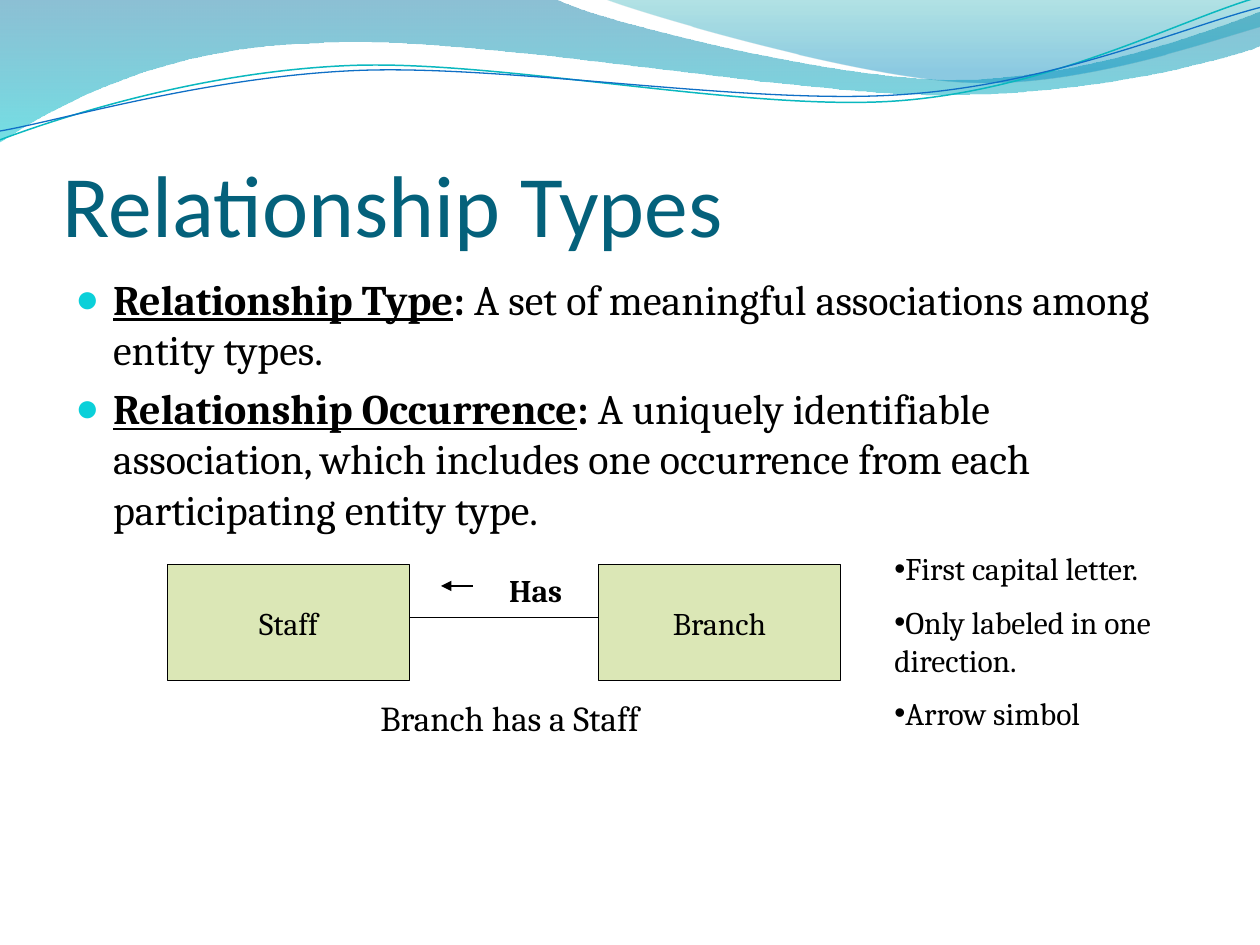
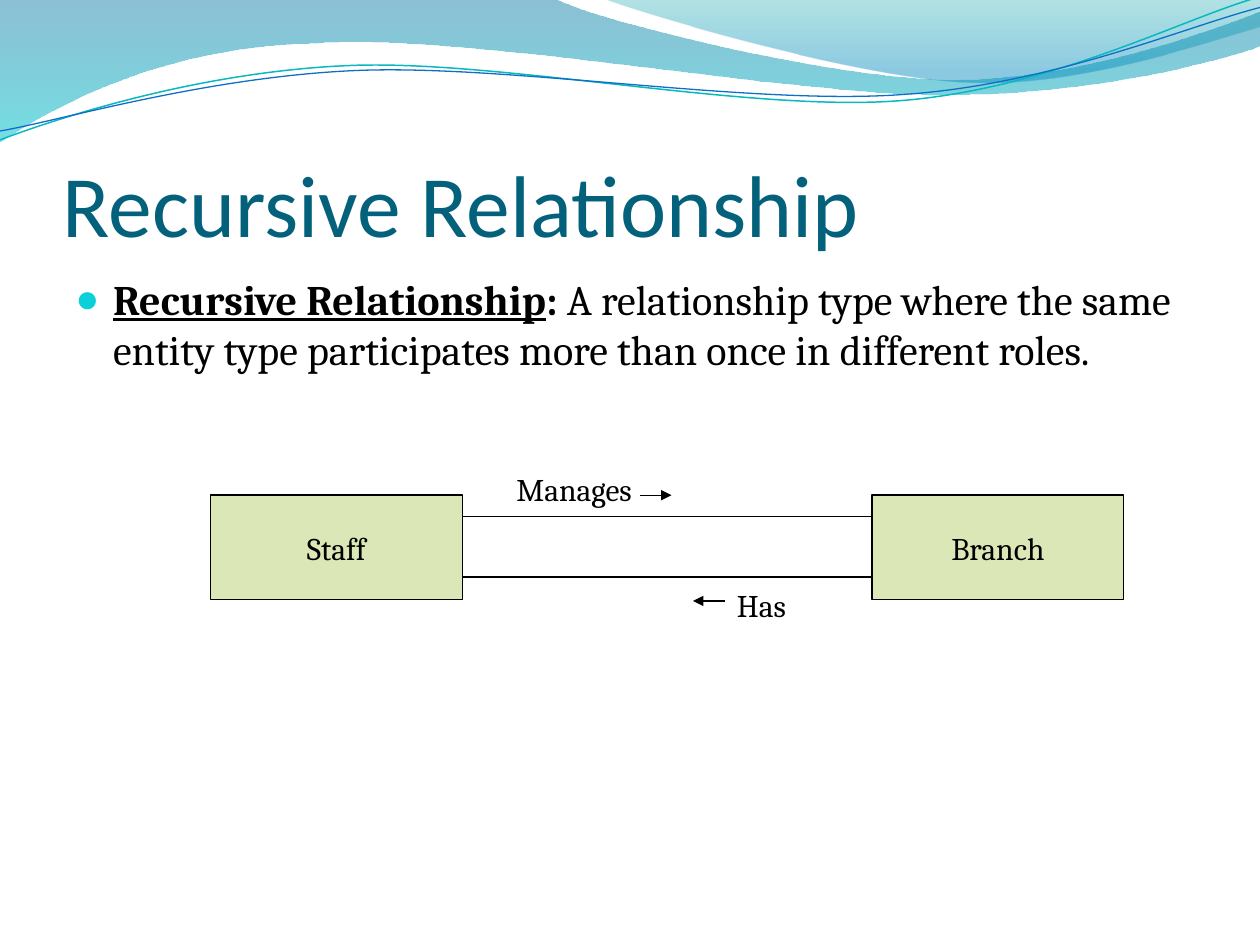
"""Build two slides on relationship types under a shared wave header."""
from math import cos, radians, sin
from pptx import Presentation
from pptx.dml.color import RGBColor
from pptx.enum.shapes import MSO_CONNECTOR as Link, MSO_SHAPE as Shape
from pptx.enum.text import MSO_ANCHOR as Anchor, MSO_AUTO_SIZE as Fit, PP_ALIGN as Align
from pptx.oxml.ns import qn
from pptx.util import Inches, Pt
from lxml import etree

rgb = RGBColor.from_string
BLACK, GREEN, TEAL, AQUA = "000000", "DBE7B6", "04617B", "0BD0D9"
HEAD, BODY = "Calibri", "Cambria"
TILT = 2.7

bands = [
    ([(0, 0), (4.4, -0.01),
      (4.76, 0.17, 6.64, 0.63, 7.58, 0.63), (8.53, 0.63, 9.58, 0.26, 10, 0.09),
      (10.01, 0.36),
      (9.83, 0.44, 8.7, 0.76, 7.46, 0.75), (6.22, 0.75, 3.82, 0.28, 2.57, 0.34),
      (1.29, 0.36, 0.46, 0.83, -0.01, 1.13), (0, 0)],
     [(0, "0074A1", 45), (1, "00C6CF", 55)]),
    ([(4.79, -0.01),
      (5.09, 0.11, 6.82, 0.62, 7.69, 0.65), (8.56, 0.69, 9.61, 0.32, 10, 0.21),
      (10, 0), (4.79, -0.01)],
     [(0, "00A1A9", 30), (0.8, "008BBF", 45)]),
]
curves = [
    ([(0, 1.11),
      (0.48, 0.93, 1.58, 0.57, 2.77, 0.52), (3.95, 0.47, 5.93, 0.89, 7.13, 0.8),
      (8.33, 0.71, 9.38, 0.15, 9.98, -0.02)], (4.99, 0.58), "0AB8BF", 0.85),
    ([(0, 1.04),
      (0.47, 0.96, 1.64, 0.61, 2.83, 0.56), (4.03, 0.51, 5.97, 0.84, 7.17, 0.75),
      (8.36, 0.67, 9.41, 0.21, 10, 0.06)], (5, 0.59), "0F6FC6", 0.75),
]

pages = [
    dict(
        title="Relationship Types",
        terms=[
            ("Relationship Type",
             " A set of meaningful associations among entity types."),
            ("Relationship Occurrence",
             " A uniquely identifiable association, which includes one "
             "occurrence from each participating entity type."),
        ],
        boxes=[("Staff", 1.33), ("Branch", 4.75)], top=4.48, size=(1.92, 0.92),
        lines=[(3.25, 4.75, 4.9)],
        arrows=[(3.75, 3.5, 4.65)],
        notes=[
            (3.75, 4.48, 0.81, 0.4, 18, True, False, ["Has"]),
            (2.92, 5.48, 3.08, 0.43, 20, False, False, ["Branch has a Staff"]),
            (7, 4.31, 2.67, 1.6, 18, False, True,
             ["First capital letter.", "Only labeled in one direction.",
              "Arrow simbol"]),
        ]),
    dict(
        title="Recursive Relationship",
        terms=[
            ("Recursive Relationship",
             " A relationship type where the same entity type participates "
             "more than once in different roles."),
        ],
        boxes=[("Staff", 1.67), ("Branch", 6.92)], top=3.93, size=(2, 0.83),
        lines=[(3.67, 6.92, 4.1), (3.67, 6.92, 4.58)],
        arrows=[(5.75, 5.5, 4.77), (5.08, 5.33, 3.93)],
        notes=[
            (4, 3.68, 1.58, 0.4, 18, False, False, ["Manages"]),
            (5.75, 4.6, 1.58, 0.4, 18, False, False, ["Has"]),
        ]),
]


def trace(shapes, parts, turn=0, mid=(0, 0)):
    """Draw an outline whose six-number parts are Bezier curves."""
    c, s = cos(radians(turn)), sin(radians(turn))
    dots = []
    for part in parts:
        for x, y in zip(part[::2], part[1::2]):
            x, y = x - mid[0], y - mid[1]
            dots.append((Inches(mid[0] + x * c - y * s),
                         Inches(mid[1] + x * s + y * c)))
    path = shapes.build_freeform(*dots[0])
    path.add_line_segments(dots[1:], close=not turn)
    wave = path.convert_to_shape()
    wave.shadow.inherit = False
    steps = iter(list(wave._element.iter(qn("a:lnTo"))))
    for part in parts[1:]:
        group = [next(steps) for _ in range(len(part) // 2)]
        if len(group) == 3:
            curve = etree.Element(qn("a:cubicBezTo"))
            group[0].addprevious(curve)
            for step in group:
                curve.append(step[0])
                step.getparent().remove(step)
    wave.rotation = -turn % 360
    return wave


def style(para, size, color=BLACK, face=BODY, bold=None, mark=None, indent=0, tint=None):
    """Set the font and bullet of a paragraph."""
    font = para.font
    font.size, font.name, font.bold = Pt(size), face, bold
    font.color.rgb = rgb(color)
    if not mark:
        return
    props = para._p.get_or_add_pPr()
    props.set("marL", str(Inches(indent)))
    props.set("indent", str(-Inches(indent)))
    if tint:
        paint = etree.SubElement(props, qn("a:buClr"))
        etree.SubElement(paint, qn("a:srgbClr"), val=tint)
        etree.SubElement(props, qn("a:buSzPct"), val="95000")
    etree.SubElement(props, qn("a:buFont"), typeface="Arial")
    etree.SubElement(props, qn("a:buChar"), char=mark)
    props.append(props.find(qn("a:defRPr")))


deck = Presentation()
deck.slide_width, deck.slide_height = Inches(10), Inches(7.5)

for page in pages:
    slide = deck.slides.add_slide(deck.slide_layouts[6])
    shapes = slide.shapes

    for parts, stops in bands:
        band = trace(shapes, parts)
        band.line.fill.background()
        band.fill.gradient()
        band.fill.gradient_angle = 270
        for stop, (place, color, alpha) in zip(band.fill.gradient_stops, stops):
            stop.position = place
            stop.color.rgb = rgb(color)
        tints = band._element.spPr.iter(qn("a:srgbClr"))
        for tint, (place, color, alpha) in zip(tints, stops):
            etree.SubElement(tint, qn("a:alpha"), val=str(alpha * 1000))

    for parts, mid, color, width in curves:
        curve = trace(shapes, parts, TILT, mid)
        curve.fill.background()
        curve.line.color.rgb = rgb(color)
        curve.line.width = Pt(width)

    frame = shapes.add_textbox(
        Inches(0.5), Inches(0.77), Inches(9), Inches(1.25)).text_frame
    frame.word_wrap = True
    frame.vertical_anchor = Anchor.BOTTOM
    frame.margin_left = frame.margin_right = frame.margin_bottom = 0
    para = frame.paragraphs[0]
    para.text = page["title"]
    style(para, 50, TEAL, HEAD)

    frame = shapes.add_textbox(
        Inches(0.5), Inches(2.12), Inches(9), Inches(4.8)).text_frame
    frame.word_wrap = True
    for i, (term, text) in enumerate(page["terms"]):
        para = frame.add_paragraph() if i else frame.paragraphs[0]
        para.space_before = Pt(4.8 if i else 0)
        for words, bold, under in [(term, True, True), (":", True, False),
                                   (text, False, False)]:
            run = para.add_run()
            run.text = words
            run.font.bold, run.font.underline = bold, under
        style(para, 24, mark="●", indent=0.3, tint=AQUA)

    wide, high = page["size"]
    for name, left in page["boxes"]:
        box = shapes.add_shape(Shape.RECTANGLE, Inches(left), Inches(page["top"]),
                               Inches(wide), Inches(high))
        box.shadow.inherit = False
        box.fill.solid()
        box.fill.fore_color.rgb = rgb(GREEN)
        box.line.color.rgb = rgb(BLACK)
        box.line.width = Pt(0.75)
        frame = box.text_frame
        frame.word_wrap = False
        frame.vertical_anchor = Anchor.MIDDLE
        para = frame.paragraphs[0]
        para.text = name
        para.alignment = Align.CENTER
        style(para, 18)

    for x1, x2, y in page["lines"] + page["arrows"]:
        line = shapes.add_connector(Link.STRAIGHT, Inches(x1), Inches(y),
                                    Inches(x2), Inches(y))
        line.line.color.rgb = rgb(BLACK)
        line.line.width = Pt(0.75)
        props = line._element.spPr
        if (x1, x2, y) in page["arrows"]:
            etree.SubElement(props.get_or_add_ln(), qn("a:tailEnd"), type="triangle")
        etree.SubElement(props, qn("a:effectLst"))

    for x, y, wide, high, size, bold, dotted, rows in page["notes"]:
        frame = shapes.add_textbox(
            Inches(x), Inches(y), Inches(wide), Inches(high)).text_frame
        frame.word_wrap = True
        frame.auto_size = Fit.SHAPE_TO_FIT_TEXT
        for i, row in enumerate(rows):
            para = frame.add_paragraph() if i else frame.paragraphs[0]
            para.text = row
            para.space_before = Pt(size / 2 if i else 0)
            if bold:
                para.alignment = Align.RIGHT
            style(para, size, bold=bold, mark="•" if dotted else None)

deck.save("out.pptx")
